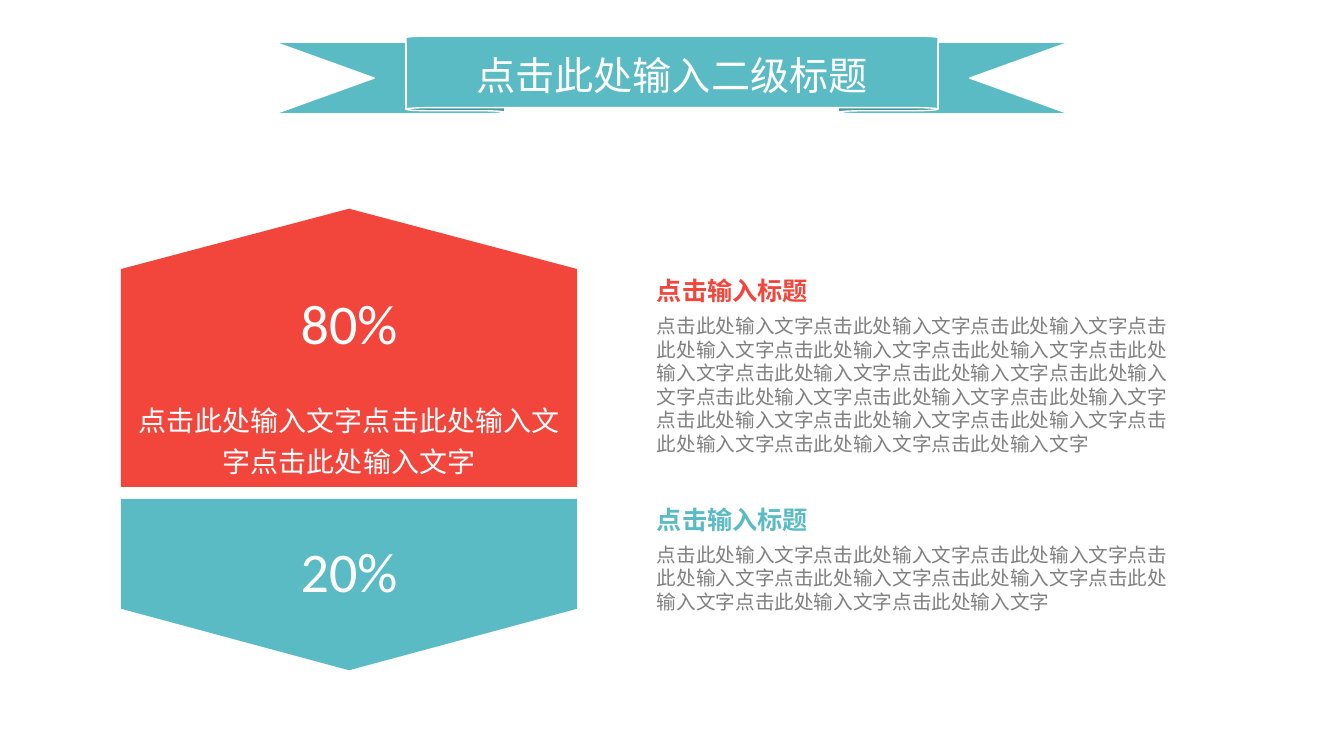
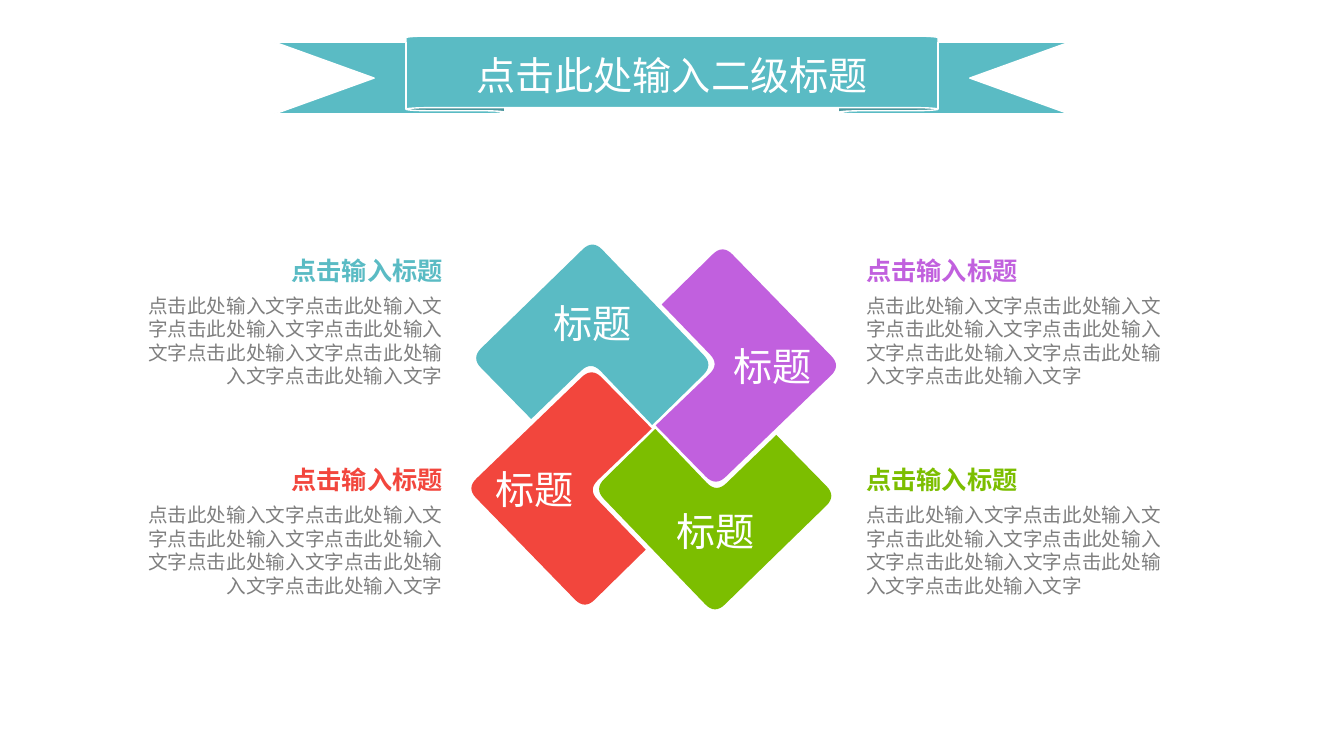
import pptx
import pptx.dml.color
import pptx.enum.shapes
import pptx.enum.text
import pptx.util

Cm = pptx.util.Cm
Pt = pptx.util.Pt
ALIGN = pptx.enum.text.PP_ALIGN
ANCHOR = pptx.enum.text.MSO_ANCHOR

COLOURS = {
    "white": "FFFFFF", "teal": "5ABBC4", "red": "F2463D",
    "purple": "C160DE", "green": "7CBE00", "grey": "7F7F7F",
}
STYLES = {
    "title": {"size": Pt(28), "name": "Noto Sans CJK SC"},
    "figure": {"size": Pt(40), "name": "Calibri"},
    "caption": {"size": Pt(20), "name": "Roboto Condensed"},
    "label": {"size": Pt(28), "name": "Calibri"},
    "heading": {"size": Pt(18), "name": "Calibri", "bold": True},
    "body": {"size": Pt(14), "name": "Calibri", "bold": False},
}
TEXT_MARGINS = {"left": 0.25, "top": 0.13, "right": 0.25, "bottom": 0.13}

TITLE = "点击此处输入二级标题"
HEADING = "点击输入标题"
PHRASE = "点击此处输入文字"
LABEL = "标题"

# Share slide: colour, outline, figure, top of figure
SHARE_LEFT, SHARE_RIGHT = 3.05, 14.55
SHARE_MIDDLE = (SHARE_LEFT + SHARE_RIGHT) / 2
SHARES = [
    ("red", [(SHARE_LEFT, 6.78), (SHARE_MIDDLE, 5.26), (SHARE_RIGHT, 6.78),
             (SHARE_RIGHT, 12.27), (SHARE_LEFT, 12.27)], "80%", 6.81),
    ("teal", [(SHARE_LEFT, 12.57), (SHARE_RIGHT, 12.57), (SHARE_RIGHT, 15.34),
              (SHARE_MIDDLE, 16.89), (SHARE_LEFT, 15.34)], "20%", 13.06),
]
# Colour, top, height, number of phrases
SHARE_NOTES = [("red", 6.81, 4.8, 19), ("teal", 12.57, 3.02, 9)]

# Pinwheel slide: x, y from the hub, and whether the corner is rounded
HUB = (16.48, 10.76)
BLADE = [
    (-1.56, -1.5, True), (-0.05, 0.04, False), (-1.66, 1.58, True),
    (-0.2, 3.09, False), (-1.74, 4.6, True), (-4.72, 1.54, True),
]
CORNER_CUT = 0.35
CORNER_STEPS = 8
# Each blade is a further quarter turn clockwise: colour, inset side, alignment
BLADES = [
    ("red", "left", ALIGN.LEFT), ("teal", "bottom", ALIGN.CENTER),
    ("purple", "right", ALIGN.RIGHT), ("green", "top", ALIGN.CENTER),
]
NOTE_COLUMNS = [
    (3.33, ALIGN.RIGHT, ("teal", "red")),
    (21.59, ALIGN.LEFT, ("purple", "green")),
]
NOTE_TOPS = (6.3, 11.58)


def rgb(name):
    return pptx.dml.color.RGBColor.from_string(COLOURS[name])


def set_margins(frame, margins):
    for side, length in margins.items():
        setattr(frame, "margin_" + side, Cm(length))


def write(paragraph, text, style, colour, align, **formats):
    span = paragraph.add_run()
    span.text = text
    for key, value in STYLES[style].items():
        setattr(span.font, key, value)
    span.font.color.rgb = rgb(colour)
    paragraph.alignment = align
    for key, value in formats.items():
        setattr(paragraph, key, value)


def add_box(page, left, top, width, height):
    box = page.shapes.add_textbox(Cm(left), Cm(top), Cm(width), Cm(height))
    box.text_frame.word_wrap = True
    set_margins(box.text_frame, TEXT_MARGINS)
    return box.text_frame


def add_note(page, left, top, width, height, colour, align, phrases):
    """Add a coloured heading with grey body text under it."""
    frame = add_box(page, left, top, width, height)
    write(frame.paragraphs[0], HEADING, "heading", colour, align)
    write(frame.add_paragraph(), PHRASE * phrases, "body", "grey", align,
          space_before=Pt(6))


def add_outline(page, points, colour):
    corners = [(Cm(x), Cm(y)) for x, y in points]
    builder = page.shapes.build_freeform(*corners[0])
    builder.add_line_segments(corners[1:], close=True)
    shape = builder.convert_to_shape()
    shape.shadow.inherit = False
    shape.fill.solid()
    shape.fill.fore_color.rgb = rgb(colour)
    shape.line.fill.background()
    return shape


def toward(start, end, distance):
    dx, dy = end[0] - start[0], end[1] - start[1]
    ratio = distance / (dx * dx + dy * dy) ** 0.5
    return start[0] + dx * ratio, start[1] + dy * ratio


def round_corners(corners):
    """Replace each rounded corner by points on a quadratic curve."""
    points = []
    for index, (x, y, rounded) in enumerate(corners):
        if not rounded:
            points.append((x, y))
            continue
        following = corners[(index + 1) % len(corners)]
        first = toward((x, y), corners[index - 1], CORNER_CUT)
        last = toward((x, y), following, CORNER_CUT)
        for step in range(CORNER_STEPS + 1):
            t = step / CORNER_STEPS
            points.append(tuple(
                (1 - t) ** 2 * a + 2 * t * (1 - t) * b + t * t * c
                for a, b, c in zip(first, (x, y), last)))
    return points


def add_page(deck):
    """Add a blank slide with the title ribbon."""
    page = deck.slides.add_slide(deck.slide_layouts[6])
    ribbon = page.shapes.add_shape(
        pptx.enum.shapes.MSO_SHAPE.UP_RIBBON,
        Cm(6.93), Cm(0.91), Cm(20.02), Cm(1.96))
    ribbon.adjustments[0] = 0.08
    ribbon.adjustments[1] = 0.67
    ribbon.shadow.inherit = False
    ribbon.fill.solid()
    ribbon.fill.fore_color.rgb = rgb("teal")
    ribbon.line.color.rgb = rgb("white")
    ribbon.line.width = Pt(1)
    frame = ribbon.text_frame
    frame.vertical_anchor = ANCHOR.MIDDLE
    set_margins(frame, {"left": 0, "top": 0.15, "right": 0, "bottom": 0})
    write(frame.paragraphs[0], TITLE, "title", "white", ALIGN.CENTER)
    return page


def build_shares(deck):
    page = add_page(deck)
    width = SHARE_RIGHT - SHARE_LEFT
    for colour, points, figure, top in SHARES:
        add_outline(page, points, colour)
        frame = add_box(page, SHARE_LEFT, top, width, 2.29)
        write(frame.paragraphs[0], figure, "figure", "white", ALIGN.CENTER,
              line_spacing=1.2)
    frame = add_box(page, SHARE_LEFT, 9.88, width, 2.29)
    write(frame.paragraphs[0], PHRASE * 3, "caption", "white", ALIGN.CENTER,
          line_spacing=1.2)
    for colour, top, height, phrases in SHARE_NOTES:
        add_note(page, 16.31, top, 13.49, height, colour, ALIGN.LEFT, phrases)


def build_pinwheel(deck):
    page = add_page(deck)
    points = round_corners(BLADE)
    for colour, side, align in BLADES:
        blade = add_outline(
            page, [(HUB[0] + x, HUB[1] + y) for x, y in points], colour)
        frame = blade.text_frame
        frame.word_wrap = True
        frame.vertical_anchor = ANCHOR.MIDDLE
        set_margins(frame, {**dict.fromkeys(TEXT_MARGINS, 0), side: 0.61})
        write(frame.paragraphs[0], LABEL, "label", "white", align)
        points = [(-y, x) for x, y in points]
    for left, align, colours in NOTE_COLUMNS:
        for top, colour in zip(NOTE_TOPS, colours):
            add_note(page, left, top, 8.08, 3.61, colour, align, 7)


def main():
    deck = pptx.Presentation()
    deck.slide_width, deck.slide_height = Cm(33.88), Cm(19.05)
    build_shares(deck)
    build_pinwheel(deck)
    deck.save("out.pptx")


if __name__ == "__main__":
    main()
